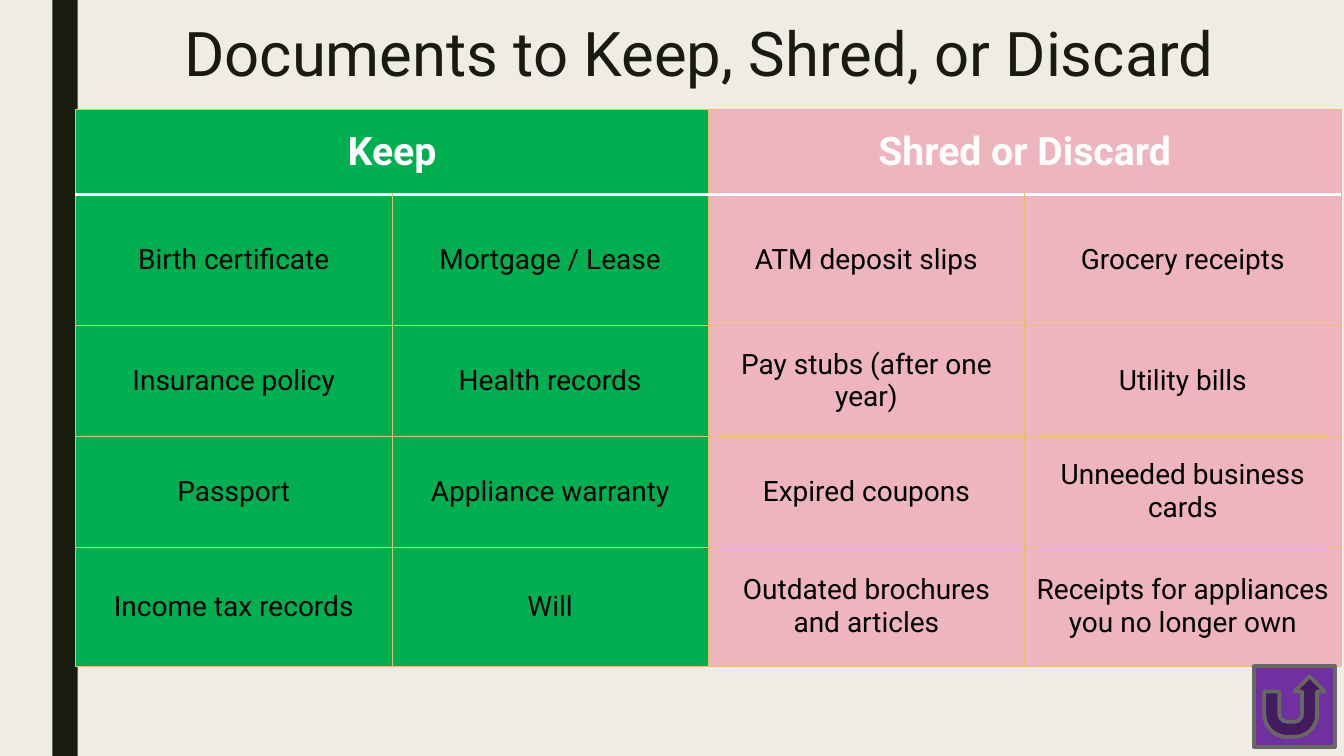
from dataclasses import dataclass
from typing import Any

from lxml.etree import SubElement
from pptx import Presentation
from pptx.dml.color import RGBColor
from pptx.enum.shapes import MSO_SHAPE
from pptx.enum.text import MSO_ANCHOR, MSO_AUTO_SIZE, PP_ALIGN
from pptx.oxml.ns import qn
from pptx.util import Emu, Inches, Pt

SLIDE_WIDTH = Inches(13.33)
SLIDE_HEIGHT = Inches(7.5)
FONT = "Roboto"
INK, PAPER, GOLD, WHITE, BLACK = "191B0E", "EFEDE3", "E6C069", "FFFFFF", "000000"
GREEN, PINK, PURPLE, GRAY = "00B050", "EEB5BF", "7030A0", "686863"


@dataclass(frozen=True)
class Area:
    left: float
    top: float
    width: float
    height: float

    def box(self) -> dict[str, Emu]:
        return {
            "left": across(self.left),
            "top": down(self.top),
            "width": across(self.width),
            "height": down(self.height),
        }


@dataclass(frozen=True)
class Block:
    area: Area
    kind: MSO_SHAPE
    fill: str
    line: str | None = None
    line_width: float = 0


@dataclass(frozen=True)
class Group:
    heading: str
    fill: str
    documents: list[tuple[str, str]]


BAR = Block(Area(3.9, 0, 1.88, 100), MSO_SHAPE.RECTANGLE, INK)
RETURN_BUTTON = Block(
    Area(93.32, 88.13, 6, 10.67), MSO_SHAPE.ACTION_BUTTON_RETURN, PURPLE, GRAY, 2.75
)
TITLE_AREA = Area(12.68, 2.53, 78.77, 21.6)
TABLE_AREA = Area(5.63, 14.4, 94.15, 73.73)
ROW_HEIGHTS = [11.33, 17.33, 14.67, 14.67, 15.73]
GROUPS = [
    Group("Keep", GREEN, [
        ("Birth certificate", "Mortgage / Lease"),
        ("Insurance policy", "Health records"),
        ("Passport", "Appliance warranty"),
        ("Income tax records", "Will"),
    ]),
    Group("Shred or Discard", PINK, [
        ("ATM deposit slips", "Grocery receipts"),
        ("Pay stubs (after one year)", "Utility bills"),
        ("Expired coupons", "Unneeded business cards"),
        ("Outdated brochures and articles", "Receipts for appliances you no longer own"),
    ]),
]


def across(percent: float) -> Emu:
    return Emu(round(SLIDE_WIDTH * percent / 100))


def down(percent: float) -> Emu:
    return Emu(round(SLIDE_HEIGHT * percent / 100))


def color(value: str) -> RGBColor:
    return RGBColor.from_string(value)


def apply(target: Any, values: dict[str, Any]) -> None:
    for name, value in values.items():
        setattr(target, name, value)


def paint(fill: Any, value: str) -> None:
    fill.solid()
    fill.fore_color.rgb = color(value)


def write(frame: Any, text: str, size: float, ink: str, bold: bool = False) -> None:
    frame.text = text
    paragraph = frame.paragraphs[0]
    paragraph.alignment = PP_ALIGN.CENTER
    font = paragraph.runs[0].font
    apply(font, {"name": FONT, "size": Pt(size), "bold": bold})
    font.color.rgb = color(ink)


def draw_block(slide: Any, block: Block) -> None:
    shape = slide.shapes.add_shape(block.kind, **block.area.box())
    shape.shadow.inherit = False
    paint(shape.fill, block.fill)
    if block.line:
        paint(shape.line.fill, block.line)
        shape.line.width = Pt(block.line_width)
    else:
        shape.line.fill.background()


def draw_title(slide: Any, text: str) -> None:
    title = slide.shapes.title
    apply(title, TITLE_AREA.box())
    frame = title.text_frame
    apply(frame, {
        "word_wrap": True,
        "auto_size": MSO_AUTO_SIZE.NONE,
        "vertical_anchor": MSO_ANCHOR.TOP,
    })
    write(frame, text, 44, INK)
    frame.paragraphs[0].line_spacing = 0.89


def add_border(cell: Any, side: str, value: str, width: float) -> None:
    properties = cell._tc.get_or_add_tcPr()
    line = SubElement(properties, qn(f"a:ln{side}"), w=str(Pt(width)))
    fill = SubElement(line, qn("a:solidFill"))
    SubElement(fill, qn("a:srgbClr"), val=value)


def style_cell(cell: Any, row: int, fill: str) -> None:
    heavy_sides = {(0, "B"), (1, "T")}
    for side in "LRTB":
        value, width = (WHITE, 2.75) if (row, side) in heavy_sides else (GOLD, 0.5)
        add_border(cell, side, value, width)
    paint(cell.fill, fill)
    cell.vertical_anchor = MSO_ANCHOR.MIDDLE


def draw_table(slide: Any) -> None:
    column_count = 2 * len(GROUPS)
    table = slide.shapes.add_table(
        len(ROW_HEIGHTS), column_count, **TABLE_AREA.box()
    ).table
    apply(table, {"first_row": False, "horz_banding": False})
    for column in table.columns:
        column.width = across(TABLE_AREA.width / column_count)
    for row, height in zip(table.rows, ROW_HEIGHTS):
        row.height = down(height)
    for index, group in enumerate(GROUPS):
        first = 2 * index
        for row in range(len(ROW_HEIGHTS)):
            for column in (first, first + 1):
                style_cell(table.cell(row, column), row, group.fill)
        heading = table.cell(0, first)
        heading.merge(table.cell(0, first + 1))
        write(heading.text_frame, group.heading, 28, WHITE, True)
        for row, documents in enumerate(group.documents, 1):
            for column, document in enumerate(documents, first):
                write(table.cell(row, column).text_frame, document, 20, BLACK)


def main() -> None:
    presentation = Presentation()
    apply(presentation, {"slide_width": SLIDE_WIDTH, "slide_height": SLIDE_HEIGHT})
    slide = presentation.slides.add_slide(presentation.slide_layouts.get_by_name("Title Only"))
    paint(slide.background.fill, PAPER)
    draw_block(slide, BAR)
    draw_title(slide, "Documents to Keep, Shred, or Discard")
    draw_table(slide)
    draw_block(slide, RETURN_BUTTON)
    presentation.save("out.pptx")


if __name__ == "__main__":
    main()
